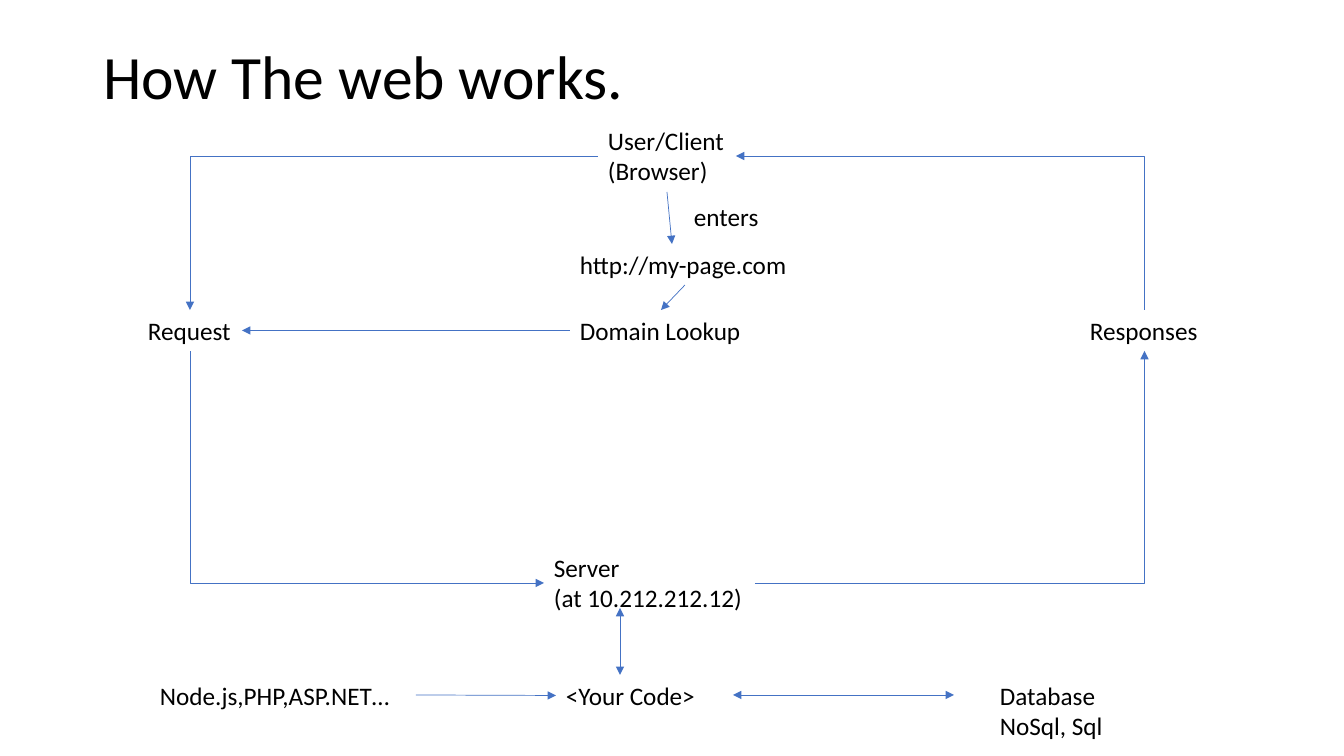
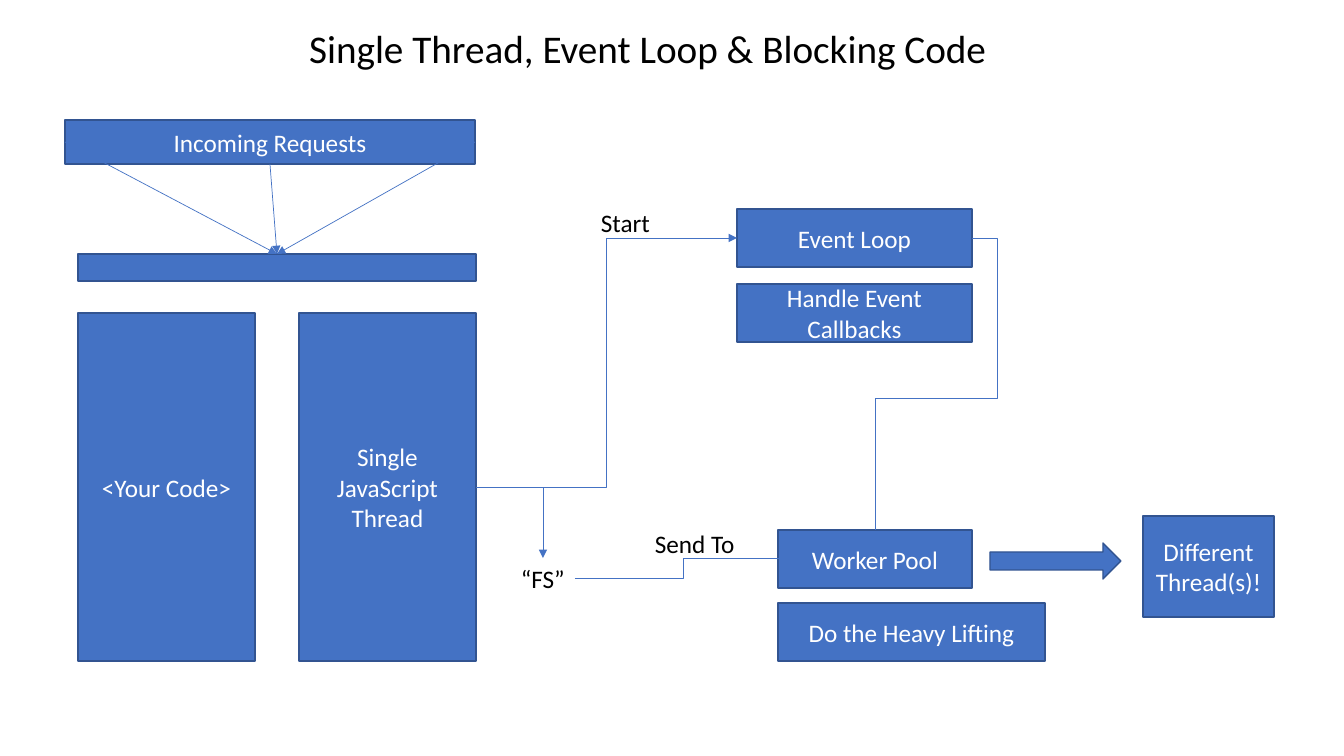
from dataclasses import dataclass

from pptx import Presentation
from pptx.dml.color import RGBColor
from pptx.enum.shapes import MSO_CONNECTOR, MSO_SHAPE
from pptx.enum.text import MSO_ANCHOR, MSO_AUTO_SIZE, PP_ALIGN
from pptx.oxml.ns import qn
from pptx.oxml.xmlchemy import OxmlElement
from pptx.util import Emu, Pt


@dataclass(frozen=True)
class Theme:
    font: str = "Calibri"
    ink: RGBColor = RGBColor(0x00, 0x00, 0x00)
    paper: RGBColor = RGBColor(0xFF, 0xFF, 0xFF)
    accent: RGBColor = RGBColor(0x44, 0x72, 0xC4)
    edge: RGBColor = RGBColor(0x32, 0x54, 0x91)
    title: int = 44
    subtitle: int = 28
    body: int = 18
    box_line: float = 1
    link_line: float = 0.5


THEME = Theme()
SCALE = 914400 / 100.8
TOP, LEFT, BOTTOM, RIGHT = range(4)


def px(n):
    return Emu(round(n * SCALE))


def style(tf, size, color, align=PP_ALIGN.LEFT):
    for p in tf.paragraphs:
        p.alignment = align
        for r in p.runs:
            r.font.name = THEME.font
            r.font.size = Pt(size)
            r.font.color.rgb = color


def set_title(s, box, text, size, anchor, spacing, wrap):
    sp = s.shapes.title
    sp.left, sp.top, sp.width, sp.height = map(px, box)
    tf = sp.text_frame
    tf.text = text
    tf.auto_size = MSO_AUTO_SIZE.NONE
    tf.vertical_anchor = anchor
    tf.word_wrap = wrap
    tf.paragraphs[0].line_spacing = spacing
    style(tf, size, THEME.ink)


def port_xy(end):
    if isinstance(end[0], int):
        return tuple(map(px, end))
    sp, site = end
    dx, dy = {TOP: (1, 0), LEFT: (0, 1), BOTTOM: (1, 2), RIGHT: (2, 1)}[site]
    return sp.left + sp.width * dx // 2, sp.top + sp.height * dy // 2


def link(s, begin, end, preset="line", head=False, tail=True, adjust=()):
    kind = MSO_CONNECTOR.STRAIGHT if preset == "line" else MSO_CONNECTOR.ELBOW
    c = s.shapes.add_connector(kind, *port_xy(begin), *port_xy(end))
    if not isinstance(begin[0], int):
        c.begin_connect(*begin)
    if not isinstance(end[0], int):
        c.end_connect(*end)
    c.line.color.rgb = THEME.accent
    c.line.width = Pt(THEME.link_line)
    props = c._element.spPr
    geom = props.find(qn("a:prstGeom"))
    geom.set("prst", preset)
    for i, value in enumerate(adjust, 1):
        gd = OxmlElement("a:gd")
        gd.set("name", f"adj{i}")
        gd.set("fmla", f"val {value}")
        geom.find(qn("a:avLst")).append(gd)
    for tag, shown in (("a:headEnd", head), ("a:tailEnd", tail)):
        if shown:
            arrow = OxmlElement(tag)
            arrow.set("type", "triangle")
            props.find(qn("a:ln")).append(arrow)
    props.append(OxmlElement("a:effectLst"))
    return c


class Region:
    def __init__(self, s, x, y):
        self.s, self.x, self.y = s, x, y

    def at(self, x, y):
        return self.x + x, self.y + y

    def place(self, x, y, w, h):
        return [px(n) for n in (*self.at(x, y), w, h)]

    def label(self, box, text, wrap=False):
        sp = self.s.shapes.add_textbox(*self.place(*box))
        tf = sp.text_frame
        tf.text = text
        tf.word_wrap = wrap
        tf.auto_size = MSO_AUTO_SIZE.SHAPE_TO_FIT_TEXT
        style(tf, THEME.body, THEME.ink)
        return sp

    def block(self, box, text="", kind=MSO_SHAPE.RECTANGLE):
        sp = self.s.shapes.add_shape(kind, *self.place(*box))
        sp.shadow.inherit = False
        sp.fill.solid()
        sp.fill.fore_color.rgb = THEME.accent
        sp.line.color.rgb = THEME.edge
        sp.line.width = Pt(THEME.box_line)
        if text:
            tf = sp.text_frame
            tf.text = text
            tf.word_wrap = True
            tf.vertical_anchor = MSO_ANCHOR.MIDDLE
            style(tf, THEME.body, THEME.paper, PP_ALIGN.CENTER)
        return sp


def request_cycle(s, x, y):
    area = Region(s, x, y)
    user = area.label((460, 0, 138, 72), "User/Client\n(Browser)")
    area.label((546, 76, 86, 41), "enters")
    url = area.label((432, 124, 230, 41), "http://my-page.com")
    lookup = area.label((432, 190, 182, 41), "Domain Lookup")
    request = area.label((0, 190, 104, 41), "Request")
    responses = area.label((942, 190, 129, 41), "Responses")
    server = area.label((406, 427, 211, 72), "Server\n(at 10.212.212.12)")

    link(s, (user, LEFT), (request, TOP), "bentConnector2")
    link(s, (server, LEFT), (request, BOTTOM), "bentConnector2", head=True, tail=False)
    link(s, (server, RIGHT), (responses, BOTTOM), "bentConnector2")
    link(s, (user, RIGHT), (responses, TOP), "bentConnector2", head=True, tail=False)
    link(s, (user, BOTTOM), area.at(534, 124))
    link(s, (url, BOTTOM), (lookup, TOP))
    link(s, (lookup, LEFT), (request, RIGHT))


def server_code(s, x, y):
    area = Region(s, x, y)
    area.label((0, 67, 251, 41), "Node.js,PHP,ASP.NET…")
    code = area.label((406, 67, 151, 41), "<Your Code>")
    area.label((840, 67, 124, 72), "Database\nNoSql, Sql")
    link(s, area.at(266, 87), (code, LEFT))
    link(s, area.at(583, 87), area.at(804, 87), head=True)
    link(s, area.at(470, 0), area.at(470, 67), head=True)


def request_stack(s, x, y):
    area = Region(s, x, y)
    requests = area.block((0, 0, 410, 44), "Incoming Requests")
    bar = area.block((13, 134, 398, 27))
    columns = [
        area.block((13 + 221 * i, 193, 177, 348), text)
        for i, text in enumerate(("<Your Code>", "Single JavaScript Thread"))
    ]
    for side in (BOTTOM, RIGHT, LEFT):
        link(s, (requests, side), (bar, TOP))
    return columns[-1]


def event_loop(s, x, y):
    area = Region(s, x, y)
    loop, callbacks = [
        area.block((146, 7 + 75 * i, 235, 58), text)
        for i, text in enumerate(("Event Loop", "Handle Event Callbacks"))
    ]
    area.label((0, 0, 108, 41), "Start", wrap=True)
    return loop


def worker_pool(s, x, y):
    area = Region(s, x, y)
    pool = area.block((267, 14, 194, 58), "Worker Pool")
    area.block((267, 87, 267, 58), "Do the Heavy Lifting")
    area.block((632, 0, 131, 101), "Different Thread(s)!")
    area.block((479, 27, 131, 36), kind=MSO_SHAPE.RIGHT_ARROW)
    files = area.label((0, 42, 64, 41), "“FS”")
    area.label((134, 7, 101, 41), "Send To")
    link(s, (files, RIGHT), area.at(280, 42), "bentConnector3")
    return pool, files


def web_slide(prs):
    s = prs.slides.add_slide(prs.slide_layouts[5])
    set_title(s, (93, 40, 1159, 80), "How The web works.",
              THEME.title, MSO_ANCHOR.MIDDLE, 0.9, True)
    request_cycle(s, 138, 120)
    server_code(s, 150, 608)


def thread_slide(prs):
    s = prs.slides.add_slide(prs.slide_layouts[5])
    set_title(s, (299, 19, 705, 57), "Single Thread, Event Loop & Blocking Code",
              THEME.subtitle, MSO_ANCHOR.TOP, 1.0, False)
    thread = request_stack(s, 65, 120)
    loop = event_loop(s, 591, 202)
    pool, files = worker_pool(s, 511, 516)
    link(s, (thread, RIGHT), (loop, LEFT), "bentConnector3")
    link(s, (thread, RIGHT), (files, TOP), "bentConnector2")
    link(s, (loop, RIGHT), (pool, TOP), "bentConnector4",
         tail=False, adjust=(-26000, 54900))


prs = Presentation()
prs.slide_width, prs.slide_height = px(1344), px(756)
web_slide(prs)
thread_slide(prs)
prs.save("out.pptx")
